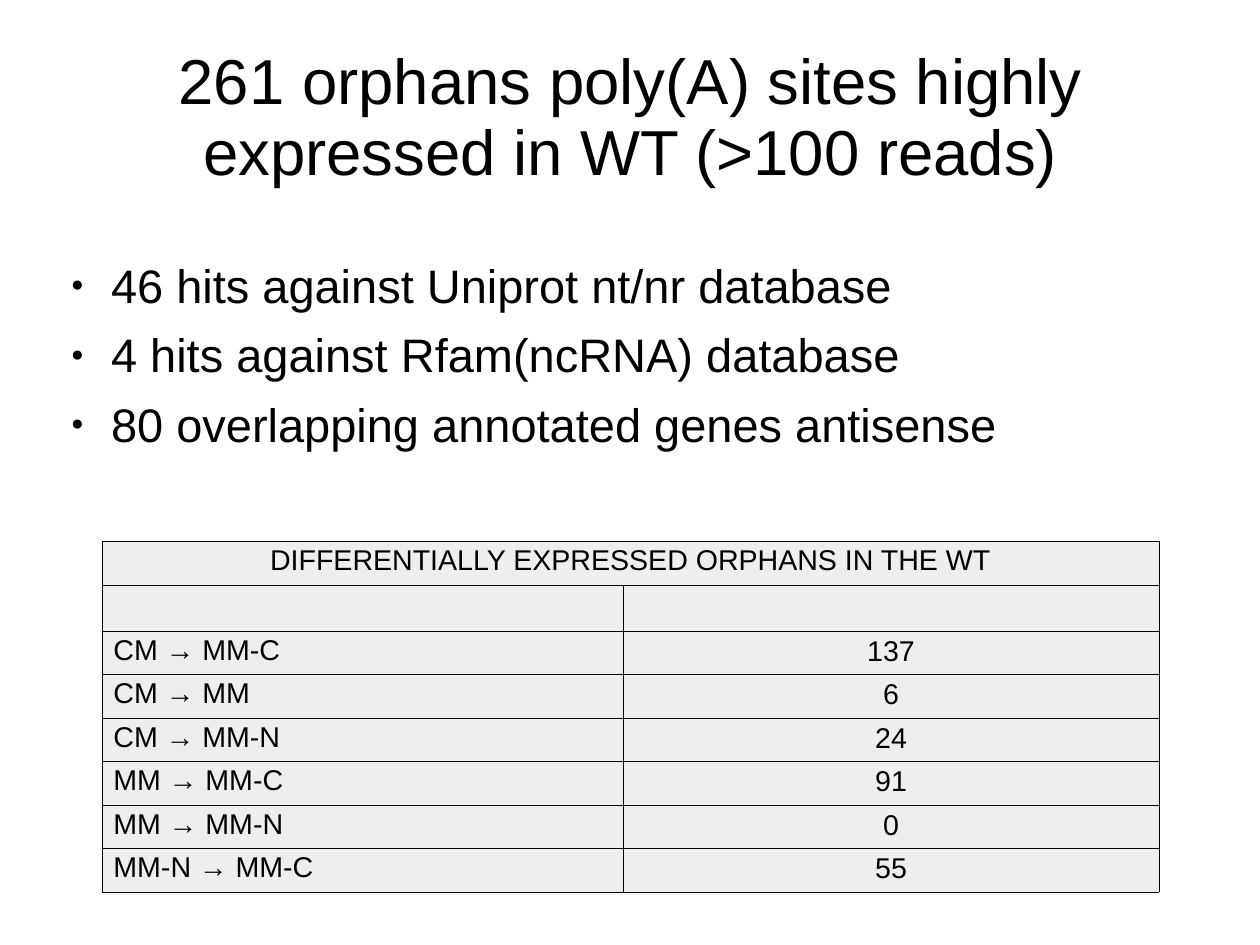
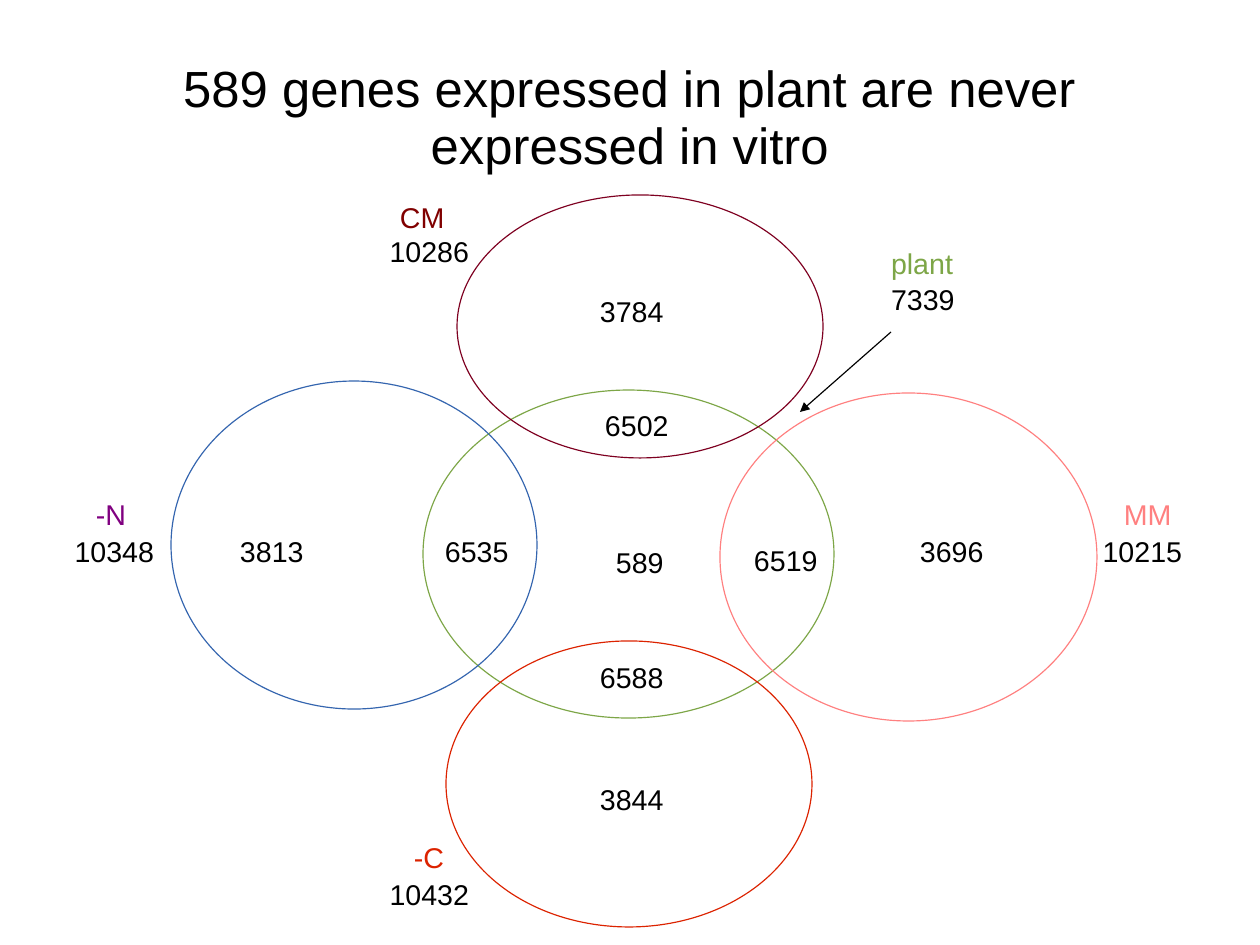
"""Two slides on orphan poly(A) sites and on genes expressed in plant."""
import pptx
import pptx.dml.color
import pptx.enum.shapes
import pptx.enum.text
import pptx.oxml.ns
import pptx.util
from dataclasses import dataclass
from lxml import etree

PX = 8000
ALIGN = pptx.enum.text.PP_ALIGN
ANCHOR = pptx.enum.text.MSO_ANCHOR
qn = pptx.oxml.ns.qn


@dataclass(frozen=True)
class Theme:
    font: str = "Arial"
    ink: str = "000000"
    cell: str = "EEEEEE"
    plant: str = "7DA647"
    cm_oval: str = "7E0021"
    cm_name: str = "800000"
    carbon: str = "DC2300"
    nitrogen_oval: str = "3465AF"
    nitrogen_name: str = "800080"
    mm: str = "FF8080"
    title: float = 40
    long_title: float = 32
    body: float = 29.6
    label: float = 18
    outline: float = 0.75
    border: float = 0.06
    spacing: float = 0.93
    body_spacing: float = 0.83


THEME = Theme()
SLIDE_SIZE = (1260, 945)
TITLE_BOX = (63, 38, 1134, 158)

ORPHANS_TITLE = "261 orphans poly(A) sites highly expressed in WT (>100 reads)"
HITS_BOX = (57, 263, 1134, 217)
HITS = [
    "46 hits against Uniprot nt/nr database",
    "4 hits against Rfam(ncRNA) database",
    "80 overlapping annotated genes antisense",
]
TABLE_ORIGIN = (102, 541)
COLUMN_WIDTHS = (521, 536)
ROW_HEIGHTS = (44, 46, 43, 44, 43, 44, 43, 44)
TABLE_ROWS = [
    ("DIFFERENTIALLY EXPRESSED ORPHANS IN THE WT", ""),
    ("", ""),
    ("CM → MM-C", "137"),
    ("CM → MM", "6"),
    ("CM → MM-N", "24"),
    ("MM → MM-C", "91"),
    ("MM → MM-N", "0"),
    ("MM-N → MM-C", "55"),
]

GENES_TITLE = "589 genes expressed in plant are never expressed in vitro"
OVALS = [
    (THEME.plant, (423, 390, 411, 328)),
    (THEME.cm_oval, (457, 195, 366, 263)),
    (THEME.carbon, (446, 641, 366, 286)),
    (THEME.nitrogen_oval, (171, 381, 366, 328)),
    (THEME.mm, (720, 393, 377, 328)),
]
SET_NAMES = [
    ("plant", THEME.plant, (880, 241, 103, 62)),
    ("CM", THEME.cm_name, (389, 195, 80, 43)),
    ("-C", THEME.carbon, (403, 835, 60, 62)),
    ("-N", THEME.nitrogen_name, (85, 492, 60, 43)),
    ("MM", THEME.mm, (1113, 492, 87, 43)),
]
SET_TOTALS = [
    ("10286", (366, 229, 114, 43)),
    ("10432", (365, 872, 115, 43)),
    ("10348", (23, 529, 142, 43)),
    ("10215", (1051, 529, 142, 43)),
]
COUNTS = [
    ("7339", (880, 277, 103, 43)),
    ("3784", (589, 289, 97, 43)),
    ("6502", (594, 403, 103, 43)),
    ("3844", (589, 777, 97, 43)),
    ("6588", (589, 655, 97, 43)),
    ("3813", (229, 529, 103, 43)),
    ("6535", (434, 529, 103, 43)),
    ("3696", (909, 529, 97, 43)),
    ("6519", (743, 538, 103, 43)),
    ("589", (605, 540, 81, 43)),
]
PLANT_ARROW = (891, 332, 800, 412)


def emu(lengths):
    return [length * PX for length in lengths]


def rgb(colour):
    return pptx.dml.color.RGBColor.from_string(colour)


def set_insets(frame, left, top, right, bottom):
    frame.margin_left, frame.margin_top, frame.margin_right, frame.margin_bottom = emu(
        (left, top, right, bottom))


def style(paragraph, size, colour=THEME.ink, align=ALIGN.LEFT, spacing=THEME.spacing):
    paragraph.alignment = align
    paragraph.line_spacing = spacing
    paragraph.font.name = THEME.font
    paragraph.font.size = pptx.util.Pt(size)
    paragraph.font.color.rgb = rgb(colour)


def place(shape, box):
    shape.left, shape.top, shape.width, shape.height = emu(box)


def add_slide(deck, layout, title, size):
    slide = deck.slides.add_slide(deck.slide_layouts[layout])
    heading = slide.shapes.title
    place(heading, TITLE_BOX)
    frame = heading.text_frame
    frame.text = title
    frame.auto_size = pptx.enum.text.MSO_AUTO_SIZE.NONE
    frame.vertical_anchor = ANCHOR.MIDDLE
    set_insets(frame, 0, 4, 0, 0)
    style(frame.paragraphs[0], size, align=ALIGN.CENTER)
    return slide


def add_bullet(paragraph):
    properties = paragraph._p.get_or_add_pPr()
    properties.set("marL", str(54 * PX))
    properties.set("indent", str(-40 * PX))
    following = properties.find(qn("a:defRPr"))
    colour = etree.Element(qn("a:buClr"))
    etree.SubElement(colour, qn("a:srgbClr"), val=THEME.ink)
    for part in (
        colour,
        etree.Element(qn("a:buSzPct"), val="45000"),
        etree.Element(qn("a:buFont"), typeface=THEME.font),
        etree.Element(qn("a:buChar"), char="●"),
    ):
        following.addprevious(part)


def fill_hits(body):
    place(body, HITS_BOX)
    frame = body.text_frame
    frame.text = "\n".join(HITS)
    frame.auto_size = pptx.enum.text.MSO_AUTO_SIZE.NONE
    set_insets(frame, 0, 3, 0, 0)
    for paragraph in frame.paragraphs:
        style(paragraph, THEME.body, spacing=THEME.body_spacing)
        paragraph.space_before = pptx.util.Pt(0)
        paragraph.space_after = pptx.util.Pt(14.3)
        add_bullet(paragraph)


def add_borders(cell):
    properties = cell._tc.get_or_add_tcPr()
    for position, side in enumerate(("lnL", "lnR", "lnT", "lnB")):
        border = etree.Element(qn(f"a:{side}"), w=str(pptx.util.Pt(THEME.border)))
        fill = etree.SubElement(border, qn("a:solidFill"))
        etree.SubElement(fill, qn("a:srgbClr"), val=THEME.ink)
        properties.insert(position, border)


def add_orphans_table(slide):
    box = (*TABLE_ORIGIN, sum(COLUMN_WIDTHS), sum(ROW_HEIGHTS))
    table = slide.shapes.add_table(len(TABLE_ROWS), len(COLUMN_WIDTHS), *emu(box)).table
    table.first_row = table.horz_banding = False
    for column, width in zip(table.columns, COLUMN_WIDTHS):
        column.width = width * PX
    for r, (row, height) in enumerate(zip(TABLE_ROWS, ROW_HEIGHTS)):
        table.rows[r].height = height * PX
        for c, text in enumerate(row):
            cell = table.cell(r, c)
            cell.text = text
            cell.fill.solid()
            cell.fill.fore_color.rgb = rgb(THEME.cell)
            cell.vertical_anchor = ANCHOR.MIDDLE if c else ANCHOR.TOP
            centred = c > 0 or r == 0
            style(cell.text_frame.paragraphs[0], THEME.label,
                  align=ALIGN.CENTER if centred else ALIGN.LEFT)
            add_borders(cell)
    table.cell(0, 0).merge(table.cell(0, 1))


def add_oval(slide, colour, box):
    oval = slide.shapes.add_shape(pptx.enum.shapes.MSO_SHAPE.OVAL, *emu(box))
    oval.shadow.inherit = False
    oval.fill.background()
    oval.line.color.rgb = rgb(colour)
    oval.line.width = pptx.util.Pt(THEME.outline)


def add_label(slide, text, box, colour=THEME.ink, align=ALIGN.LEFT):
    frame = slide.shapes.add_textbox(*emu(box)).text_frame
    frame.word_wrap = True
    frame.text = text
    set_insets(frame, 11, 8, 11, 6)
    style(frame.paragraphs[0], THEME.label, colour, align)


def add_arrow(slide, ends):
    arrow = slide.shapes.add_connector(pptx.enum.shapes.MSO_CONNECTOR.STRAIGHT, *emu(ends))
    arrow.line.color.rgb = rgb(THEME.ink)
    arrow.line.width = pptx.util.Pt(THEME.outline)
    etree.SubElement(arrow.line._get_or_add_ln(), qn("a:tailEnd"), type="triangle")
    etree.SubElement(arrow._element.spPr, qn("a:effectLst"))


def main():
    deck = pptx.Presentation()
    deck.slide_width, deck.slide_height = emu(SLIDE_SIZE)

    orphans = add_slide(deck, 1, ORPHANS_TITLE, THEME.title)
    fill_hits(orphans.placeholders[1])
    add_orphans_table(orphans)

    genes = add_slide(deck, 5, GENES_TITLE, THEME.long_title)
    for colour, box in OVALS:
        add_oval(genes, colour, box)
    for name, colour, box in SET_NAMES:
        add_label(genes, name, box, colour)
    for total, box in SET_TOTALS:
        add_label(genes, total, box, align=ALIGN.RIGHT)
    for count, box in COUNTS:
        add_label(genes, count, box)
    add_arrow(genes, PLANT_ARROW)

    deck.save("out.pptx")


if __name__ == "__main__":
    main()
